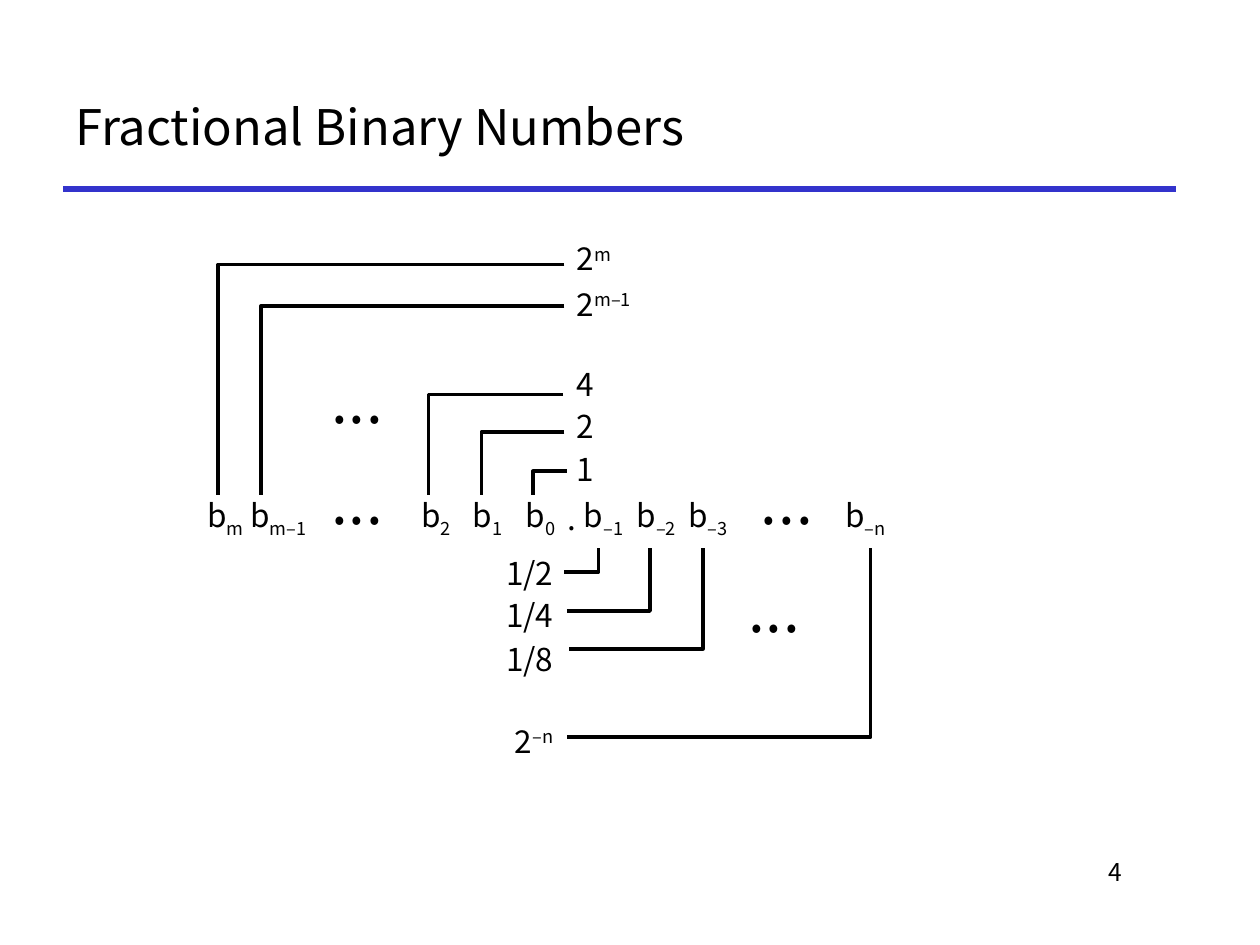
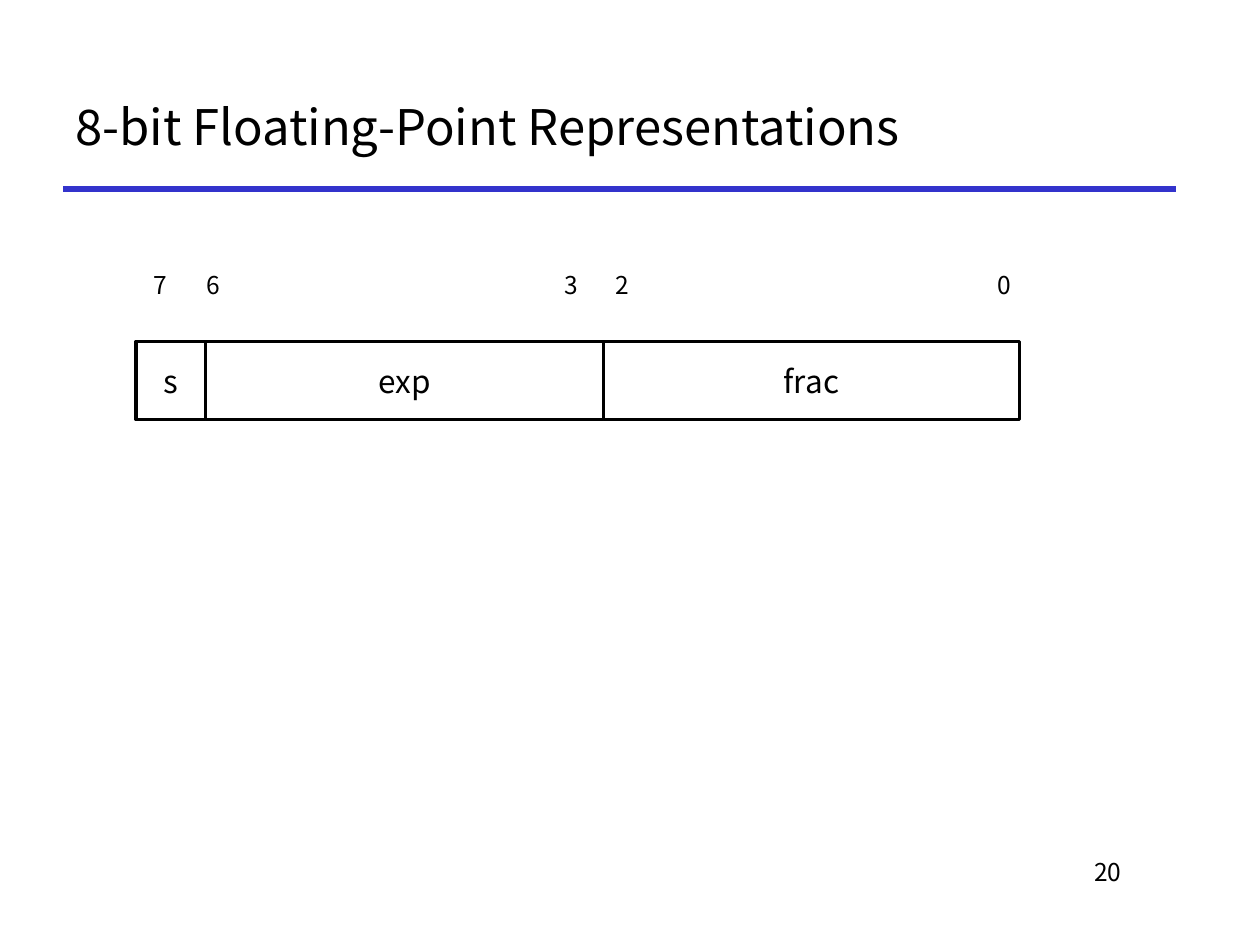
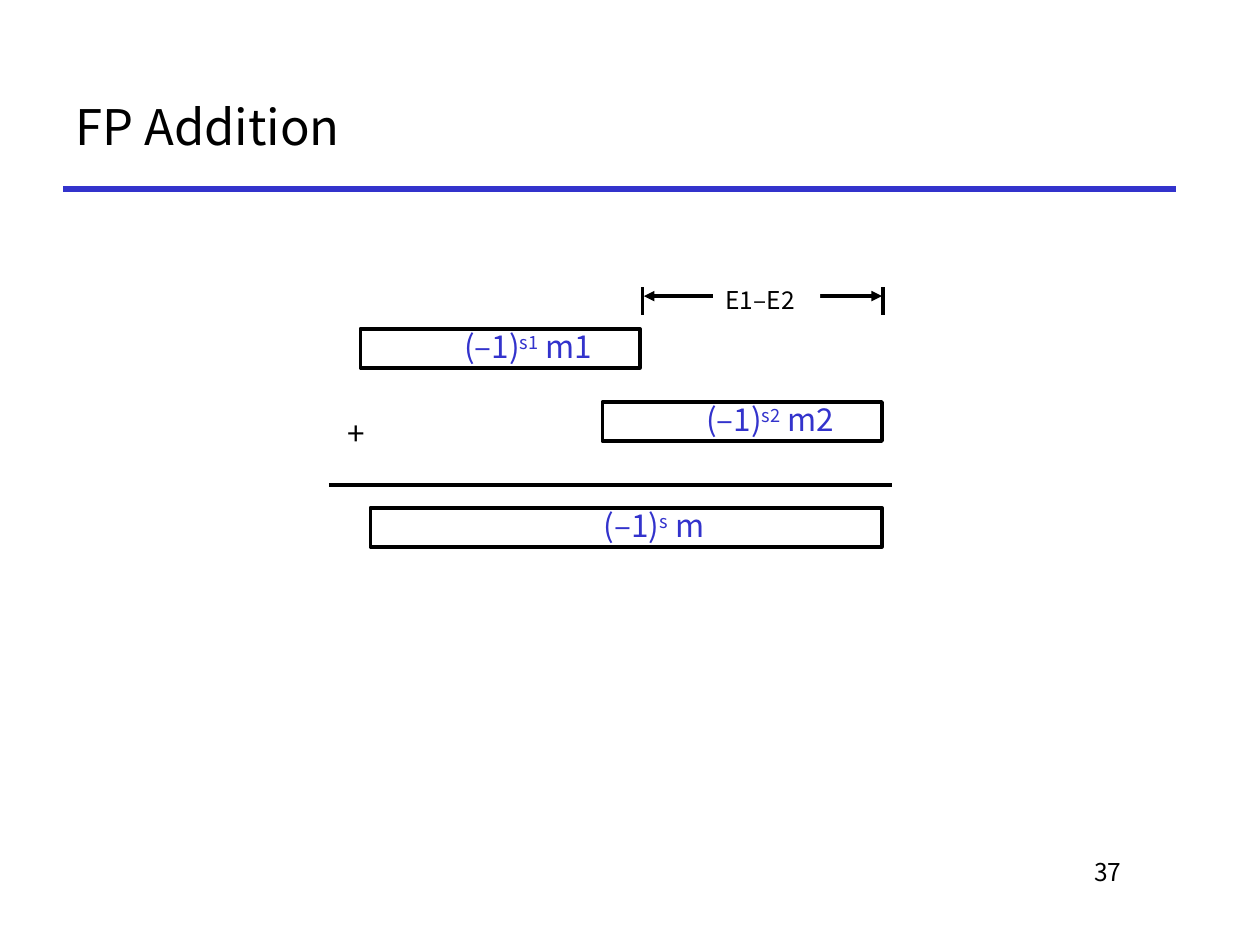
from dataclasses import dataclass

from lxml.etree import SubElement
from pptx import Presentation
from pptx.dml.color import RGBColor as RGB
from pptx.enum.shapes import MSO_CONNECTOR as CONN, MSO_SHAPE as SHAPE
from pptx.enum.text import MSO_ANCHOR as ANCHOR, MSO_AUTO_SIZE as FIT, PP_ALIGN as ALIGN
from pptx.oxml.ns import qn
from pptx.util import Pt

PX = 9144


@dataclass(frozen=True)
class Theme:
    font: str = "Noto Sans CJK KR"
    ink: RGB = RGB(0, 0, 0)
    paper: RGB = RGB(255, 255, 255)
    accent: RGB = RGB(0x33, 0x33, 0xCC)
    title: int = 28
    body: int = 18
    small: int = 14
    rule: int = 3
    stroke: int = 2
    sub: int = -25
    sup: int = 30


T = Theme()
DOTS = "• • •"


def box(x, y, w, h):
    return [v * PX for v in (x, y, w, h)]


def write(tf, parts, size=T.body, color=T.ink, align=ALIGN.LEFT):
    p = tf.paragraphs[0]
    p.alignment = align
    p.font.name, p.font.size, p.font.color.rgb = T.font, Pt(size), color
    for text, shift in parts:
        r = p.add_run()
        r.text = text
        if shift:
            r._r.get_or_add_rPr().set("baseline", str(shift * 1000))
    return p


def plain(text):
    return [(text, 0)]


def scripted(base, script, shift, rest=""):
    return [part for part in ((base, 0), (script, shift), (rest, 0)) if part[0]]


def add_label(s, x, y, w, h, parts, size=T.body, align=ALIGN.LEFT, fill=False):
    sp = s.shapes.add_textbox(*box(x, y, w, h))
    if fill:
        sp.fill.solid()
        sp.fill.fore_color.rgb = T.paper
    tf = sp.text_frame
    tf.word_wrap = False
    tf.auto_size = FIT.SHAPE_TO_FIT_TEXT
    write(tf, parts, size, align=align)


def add_cell(s, x, y, w, h, parts, outline=False, color=T.ink):
    sp = s.shapes.add_shape(SHAPE.RECTANGLE, *box(x, y, w, h))
    sp.shadow.inherit = False
    sp.fill.solid()
    sp.fill.fore_color.rgb = T.paper
    if outline:
        sp.line.color.rgb, sp.line.width = T.ink, Pt(T.stroke)
    else:
        sp.line.fill.background()
    tf = sp.text_frame
    tf.word_wrap = False
    tf.vertical_anchor = ANCHOR.MIDDLE
    return write(tf, parts, color=color, align=ALIGN.CENTER)


def add_term(s, x, y, w, sign, mantissa):
    parts = scripted("(–1)", sign, T.sup, f" {mantissa} ")
    p = add_cell(s, x, y, w, 31, parts, outline=True, color=T.accent)
    p.level = 1
    p.line_spacing = 0.9
    p.space_before = Pt(5.4)
    pPr = p._p.get_or_add_pPr()
    pPr.set("marL", str(50 * PX))
    pPr.set("indent", "0")


def add_line(s, x1, y1, x2, y2, color=T.ink, width=T.stroke, arrows=False):
    c = s.shapes.add_connector(CONN.STRAIGHT, *box(x1, y1, x2, y2))
    c.line.color.rgb, c.line.width = color, Pt(width)
    if arrows:
        for end in ("a:headEnd", "a:tailEnd"):
            SubElement(c.line._get_or_add_ln(), qn(end), type="triangle")
    SubElement(c._element.spPr, qn("a:effectLst"))


def add_wire(s, start_x, wire_y, bit_x, bit_y):
    fb = s.shapes.build_freeform(start_x, wire_y, scale=PX)
    fb.add_line_segments([(bit_x, wire_y), (bit_x, bit_y)], close=False)
    sp = fb.convert_to_shape()
    sp.shadow.inherit = False
    sp.fill.background()
    sp.line.color.rgb, sp.line.width = T.ink, Pt(T.stroke)


def add_slide(prs, title, number):
    s = prs.slides.add_slide(prs.slide_layouts[6])
    add_line(s, 50, 150, 933, 150, T.accent, T.rule)
    tf = s.shapes.add_textbox(*box(758, 675, 142, 50)).text_frame
    tf.word_wrap = True
    write(tf, plain(str(number)), T.small, align=ALIGN.RIGHT)
    tf = s.shapes.add_textbox(*box(50, 50, 883, 100)).text_frame
    tf.word_wrap = True
    tf.vertical_anchor = ANCHOR.MIDDLE
    write(tf, plain(title), T.title)
    return s


def fractional_binary(prs):
    s = add_slide(prs, "Fractional Binary Numbers", 4)
    whole_bits = {0: "m", 1: "m–1", 4: "2", 5: "1", 6: "0"}
    fraction_bits = {0: "–1", 1: "–2", 2: "–3", 5: "–n"}
    for left, bits in ((158, whole_bits), (458, fraction_bits)):
        for column, index in bits.items():
            x = left + round(column * 125 / 3)
            add_cell(s, x, 382, 42, 58, scripted("b", index, T.sub))
    for x, y in ((583, 382), (242, 382), (242, 302), (573, 468)):
        add_cell(s, x, y, 83, 58, plain(DOTS))
    add_cell(s, 450, 382, 8, 58, plain("."))

    whole_weights = [
        ("1", "", 352, 34, 450, 374, 423),
        ("2", "", 318, 34, 448, 343, 382),
        ("4", "", 285, 34, 447, 313, 340),
        ("2", "m–1", 221, 73, 448, 243, 207),
        ("2", "m", 185, 48, 448, 210, 173),
    ]
    for base, power, y, w, start_x, wire_y, bit_x in whole_weights:
        add_label(s, 448, y, w, 40, scripted(base, power, T.sup))
        add_wire(s, start_x, wire_y, bit_x, 393)

    fraction_weights = [
        ("1/2", "", 435, 448, 454, 475),
        ("1/4", "", 468, 450, 485, 516),
        ("1/8", "", 503, 452, 515, 558),
        ("2", "–n", 568, 450, 585, 691),
    ]
    for base, power, y, start_x, wire_y, bit_x in fraction_weights:
        parts = scripted(base, power, T.sup)
        add_label(s, 390, y, 59, 40, parts, align=ALIGN.RIGHT)
        add_wire(s, start_x, wire_y, bit_x, 435)


def float_format(prs):
    s = add_slide(prs, "8-bit Floating-Point Representations", 20)
    x = 108
    for field, w in (("s", 55), ("exp", 316), ("frac", 330)):
        add_cell(s, x, 271, w, 62, plain(field), outline=True)
        x += w
    for bit, x in (("7", 112), ("6", 154), ("3", 438), ("2", 479), ("0", 782)):
        add_label(s, x, 209, 31, 33, plain(bit), T.small)


def fp_addition(prs):
    s = add_slide(prs, "FP Addition", 37)
    add_term(s, 286, 261, 222, "s1", "m1")
    add_term(s, 478, 319, 222, "s2", "m2")
    for x in (510, 701):
        add_line(s, x, 228, x, 250)
    add_line(s, 511, 235, 700, 235, arrows=True)
    add_label(s, 566, 221, 85, 33, plain("E1–E2"), T.small, fill=True)
    add_label(s, 266, 324, 36, 40, plain("+"))
    add_line(s, 261, 385, 708, 385)
    add_term(s, 294, 403, 406, "s", "m")


def main():
    prs = Presentation()
    prs.slide_width, prs.slide_height = 1000 * PX, 750 * PX
    fractional_binary(prs)
    float_format(prs)
    fp_addition(prs)
    prs.save("out.pptx")


if __name__ == "__main__":
    main()
